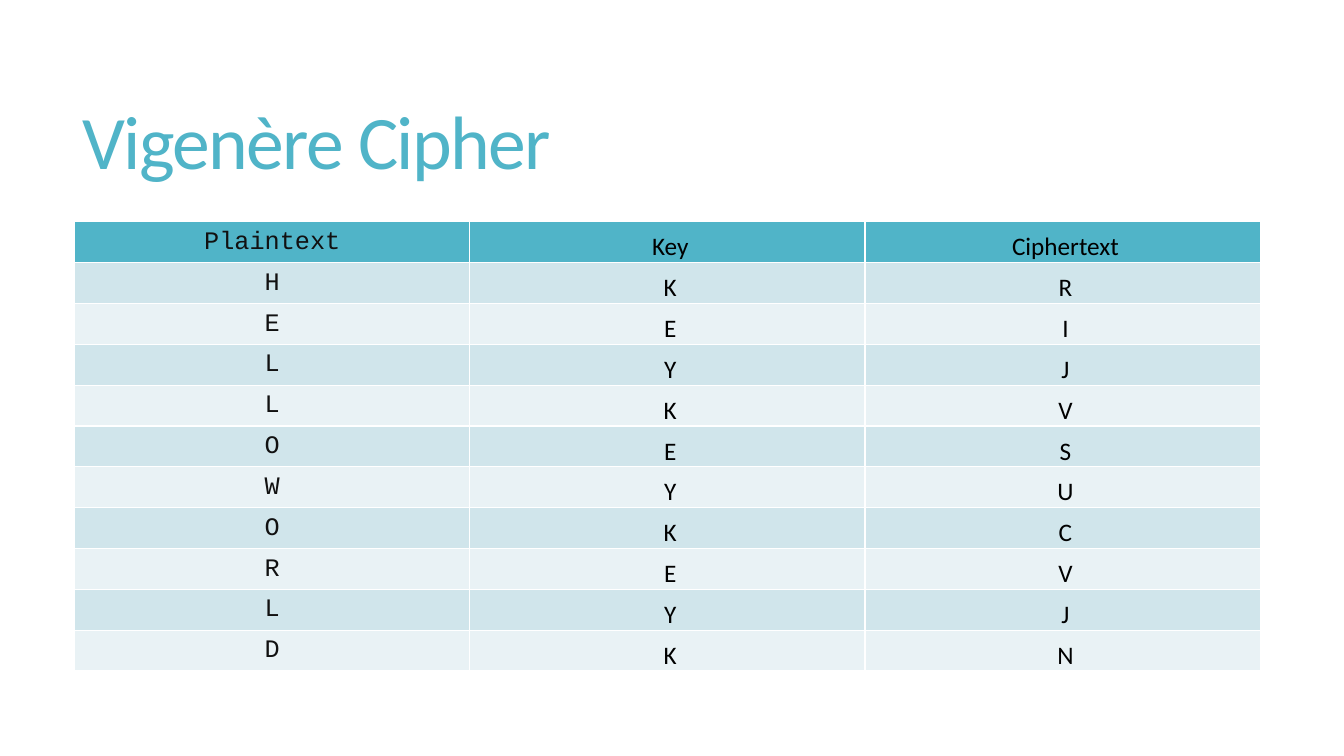
from dataclasses import dataclass

from pptx import Presentation
from pptx.dml.color import RGBColor
from pptx.enum.text import MSO_ANCHOR, PP_ALIGN
from pptx.util import Inches, Pt


@dataclass(frozen=True)
class Theme:
    """Colours, fonts and type sizes of the slide."""
    accent: str = "50B4C8"
    bands: tuple = ("D0E5EB", "E9F2F5")
    ink: str = "111111"
    black: str = "000000"
    sans: str = "Calibri"
    mono: str = "Courier New"
    title: int = 54
    body: int = 18


THEME = Theme()
HEADS = ("Plaintext", "Key", "Ciphertext")
PLAIN, KEY, CIPHER = "HELLOWORLD", "KEYKEYKEYK", "RIJVSUCVJN"


def style(font, name, size, color):
    """Set the face, size and colour of a font."""
    font.name = name
    font.size = Pt(size)
    font.bold = False
    font.color.rgb = RGBColor.from_string(color)


def add_title(slide, text):
    """Place and format the title."""
    title = slide.shapes.title
    title.left, title.top = Inches(0.72), Inches(0.55)
    title.width, title.height = Inches(11.78), Inches(1.81)
    frame = title.text_frame
    frame.text = text
    frame.vertical_anchor = MSO_ANCHOR.MIDDLE
    para = frame.paragraphs[0]
    para.alignment = PP_ALIGN.LEFT
    para.line_spacing = 0.85
    style(para.font, THEME.sans, THEME.title, THEME.accent)
    para.runs[0].font._element.set("spc", "-120")


def fill_cell(cell, text, fill, first):
    """Write one cell, with the first column in monospace."""
    cell.fill.solid()
    cell.fill.fore_color.rgb = RGBColor.from_string(fill)
    cell.margin_left = cell.margin_right = cell.margin_top = Inches(0.01)
    cell.margin_bottom = 0
    cell.vertical_anchor = MSO_ANCHOR.MIDDLE if first else MSO_ANCHOR.BOTTOM
    cell.text = text if first else f" {text}"
    para = cell.text_frame.paragraphs[0]
    para.alignment = PP_ALIGN.CENTER
    name, color = (THEME.mono, THEME.ink) if first else (THEME.sans, THEME.black)
    style(para.font, name, THEME.body, color)


def add_grid(slide, rows):
    """Add the cipher table with a header and banded rows."""
    grid = slide.shapes.add_table(
        len(rows), len(HEADS), Inches(0.74), Inches(2.2), Inches(11.76), Inches(4.46)
    ).table
    for r, row in enumerate(rows):
        fill = THEME.bands[(r - 1) % 2] if r else THEME.accent
        for c, text in enumerate(row):
            fill_cell(grid.cell(r, c), text, fill, c == 0)


def main():
    """Build and save the slide."""
    deck = Presentation()
    deck.slide_width, deck.slide_height = Inches(13.33), Inches(7.5)
    slide = deck.slides.add_slide(deck.slide_layouts[5])
    add_title(slide, "Vigenère Cipher")
    add_grid(slide, [HEADS, *zip(PLAIN, KEY, CIPHER)])
    deck.save("out.pptx")


if __name__ == "__main__":
    main()
